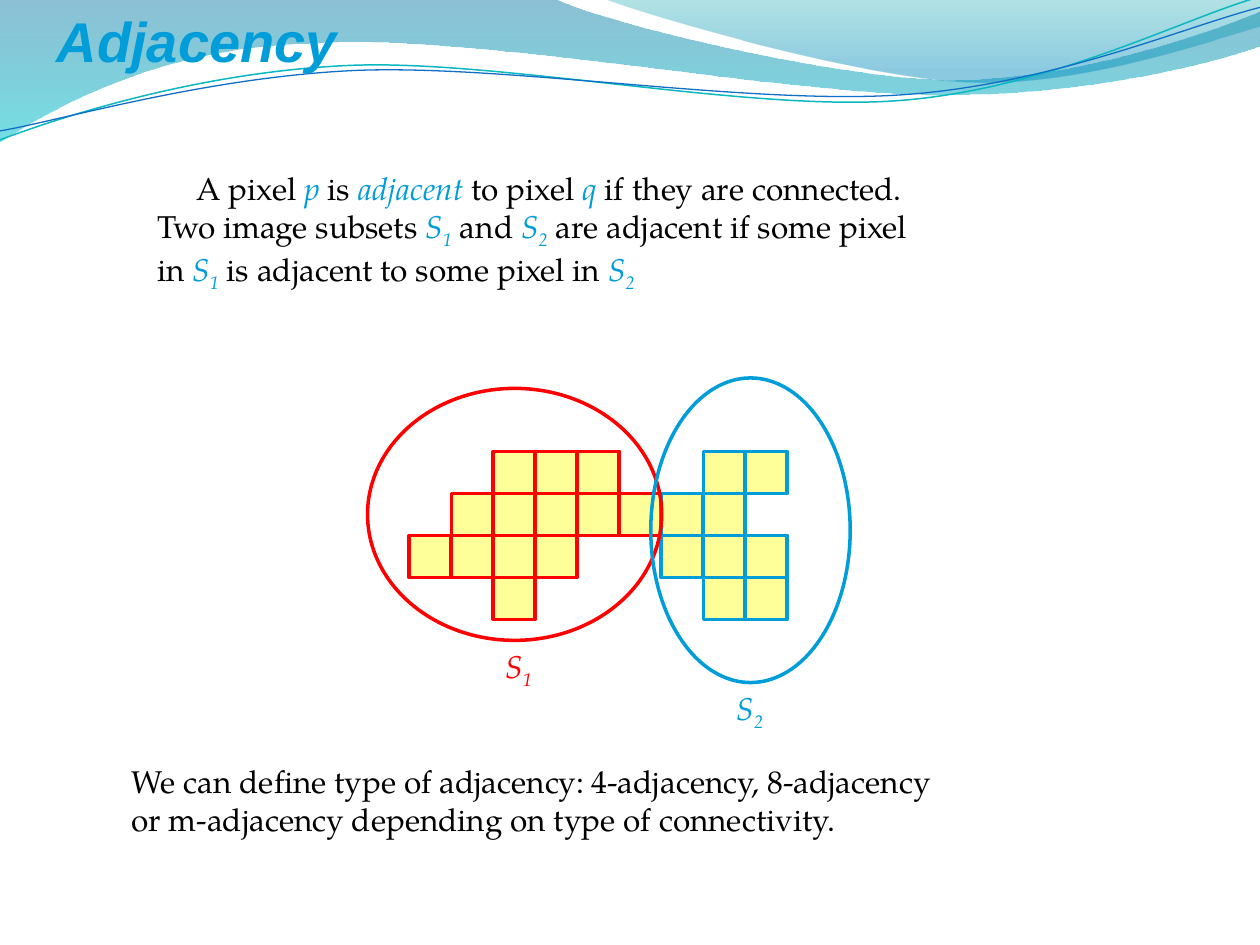
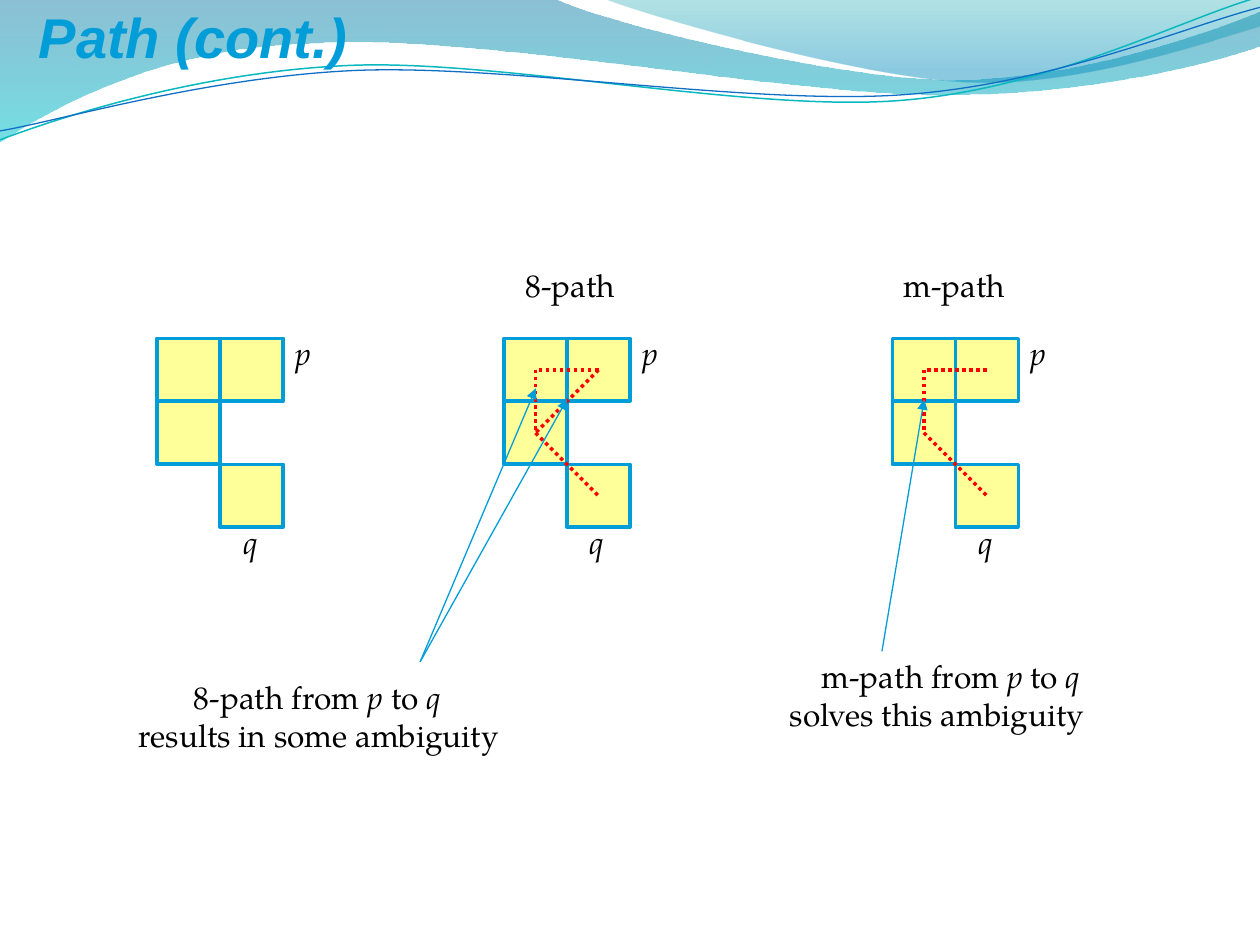
from lxml.etree import SubElement
from pptx import Presentation
from pptx.dml.color import RGBColor
from pptx.enum.dml import MSO_LINE
from pptx.enum.shapes import MSO_CONNECTOR, MSO_SHAPE
from pptx.enum.text import MSO_ANCHOR, MSO_AUTO_SIZE, PP_ALIGN
from pptx.oxml.ns import qn
from pptx.util import Cm, Pt

BLUE, RED, YELLOW, BLACK = "009DD9", "FF0000", "FFFF99", "000000"
TITLE_FONT, TEXT_FONT = "Arial", "TeX Gyre Pagella"

FILLED_WAVES = [
    ([(0, 0), (11.18, -0.03),
      (12.09, 0.43, 16.87, 1.6, 19.25, 1.6), (21.67, 1.6, 24.33, 0.66, 25.4, 0.23),
      (25.43, 0.91),
      (24.97, 1.12, 22.1, 1.93, 18.95, 1.91), (15.8, 1.91, 9.7, 0.71, 6.53, 0.86),
      (3.28, 0.91, 1.17, 2.11, -0.03, 2.87)],
     [(0, "0074A1", 45), (1, "00C6CF", 55)]),
    ([(12.17, -0.03),
      (12.93, 0.28, 17.32, 1.57, 19.53, 1.65), (21.74, 1.75, 24.41, 0.81, 25.4, 0.53),
      (25.4, 0)],
     [(0, "00A1A9", 30), (0.8, "008BBF", 45)]),
]
WAVE_LINES = [
    ([(0, 2.82), (1.22, 2.36, 4.01, 1.45, 7.04, 1.32),
      (10.03, 1.19, 15.06, 2.26, 18.11, 2.03), (21.16, 1.8, 23.83, 0.38, 25.35, -0.05)],
     "0AB8BF", 0.85),
    ([(0, 2.64), (1.19, 2.44, 4.17, 1.55, 7.19, 1.42),
      (10.24, 1.3, 15.16, 2.13, 18.21, 1.91), (21.23, 1.7, 23.9, 0.53, 25.4, 0.15)],
     "0F6FC6", 0.75),
]

SUBSETS = ["..111..22",
           ".1111122.",
           "1111..222",
           "..1....22"]
PIXELS = ["11",
          "1.",
          ".1"]
P, CORNER, MIDDLE, Q = (1, 0), (0, 0), (0, 1), (1, 2)
M_PATH = [(P, CORNER), (CORNER, MIDDLE), (MIDDLE, Q)]
EIGHT_PATH = M_PATH + [(P, MIDDLE)]


def rgb(value):
    """Turn a hex string into a colour."""
    return RGBColor.from_string(value)


def add_wave(slide, segments, close):
    """Add a freeform whose six-number segments are cubic curves."""
    start, *points = [(Cm(x), Cm(y)) for segment in segments
                      for x, y in zip(segment[::2], segment[1::2])]
    builder = slide.shapes.build_freeform(*start)
    builder.add_line_segments(points, close=close)
    wave = builder.convert_to_shape()
    wave.shadow.inherit = False
    outline = next(wave.element.iter(qn("a:path")))
    corners = iter(outline.findall(qn("a:lnTo")))
    for segment in segments[1:]:
        corner = next(corners)
        if len(segment) == 6:
            corner.tag
            curve = SubElement(outline, qn("a:cubicBezTo"))
            corner.addprevious(curve)
            for control in (corner, next(corners), next(corners)):
                curve.append(control[0])
                outline.remove(control)
    return wave


def decorate_layout(layout, slide):
    """Put the wave band on the layout shared by all slides."""
    waves = []
    for segments, stops in FILLED_WAVES:
        wave = add_wave(slide, segments, True)
        wave.line.fill.background()
        wave.fill.gradient()
        wave.fill.gradient_angle = 270
        for stop, (position, colour, _) in zip(wave.fill.gradient_stops, stops):
            stop.position = position
            stop.color.rgb = rgb(colour)
        colours = wave.element.spPr.find(qn("a:gradFill")).iter(qn("a:srgbClr"))
        for colour, (_, _, opacity) in zip(list(colours), stops):
            SubElement(colour, qn("a:alpha")).set("val", str(opacity * 1000))
        waves.append(wave)
    for segments, colour, width in WAVE_LINES:
        wave = add_wave(slide, segments, False)
        wave.fill.background()
        wave.line.color.rgb = rgb(colour)
        wave.line.width = Pt(width)
        waves.append(wave)
    for number, wave in enumerate(waves, 100):
        wave.element.nvSpPr.cNvPr.set("id", str(number))
        layout.shapes.element.append(wave.element)


def set_title(slide, text, left, top, width):
    """Fill, move and format the title placeholder."""
    title = slide.shapes.title
    title.left, title.top, title.width, title.height = Cm(left), Cm(top), Cm(width), Cm(1.63)
    frame = title.text_frame
    frame.text = text
    frame.word_wrap = False
    frame.auto_size = MSO_AUTO_SIZE.NONE
    frame.vertical_anchor = MSO_ANCHOR.TOP
    paragraph = frame.paragraphs[0]
    paragraph.alignment = PP_ALIGN.LEFT
    font = paragraph.runs[0].font
    font.name, font.size, font.bold, font.italic = TITLE_FONT, Pt(32), True, True
    font.color.rgb = rgb(BLUE)


def add_run(paragraph, text, colour, italic=False, subscript=False):
    """Add one formatted run to a paragraph."""
    run = paragraph.add_run()
    run.text = text
    run.font.name, run.font.size, run.font.italic = TEXT_FONT, Pt(18), italic
    run.font.color.rgb = rgb(colour)
    if subscript:
        run._r.get_or_add_rPr().set("baseline", "-25000")


def add_text(slide, lines, left, top, width, height=1.27, accent=BLACK, indent=0):
    """Add lines where *x_1* marks an italic symbol with a subscript."""
    frame = slide.shapes.add_textbox(Cm(left), Cm(top), Cm(width), Cm(height)).text_frame
    frame.word_wrap = True
    for number, line in enumerate(lines):
        paragraph = frame.add_paragraph() if number else frame.paragraphs[0]
        if indent and not number:
            paragraph._p.get_or_add_pPr().set("indent", str(Cm(indent)))
        for position, part in enumerate(line.split("*")):
            if position % 2 == 0:
                if part:
                    add_run(paragraph, part, BLACK)
                continue
            symbol, _, index = part.partition("_")
            add_run(paragraph, symbol, accent, italic=True)
            if index:
                add_run(paragraph, index, accent, italic=True, subscript=True)


def add_outlined(slide, kind, left, top, width, height, outline, fill=None):
    """Add a preset shape with a coloured outline."""
    shape = slide.shapes.add_shape(kind, Cm(left), Cm(top), Cm(width), Cm(height))
    shape.shadow.inherit = False
    shape.line.color.rgb = rgb(outline)
    shape.line.width = Pt(2)
    if fill:
        shape.fill.solid()
        shape.fill.fore_color.rgb = rgb(fill)
    else:
        shape.fill.background()


def add_pixels(slide, pattern, mark, left, top, size, outline):
    """Draw a square for each place in the pattern that holds the mark."""
    for row, line in enumerate(pattern):
        for column, place in enumerate(line):
            if place == mark:
                add_outlined(slide, MSO_SHAPE.RECTANGLE, left + column * size,
                             top + row * size, size, size, outline, YELLOW)


def add_link(slide, start, end, colour, width, dash=None, arrow=False):
    """Draw a straight line, dotted or with an arrowhead if asked."""
    link = slide.shapes.add_connector(
        MSO_CONNECTOR.STRAIGHT, *(Cm(value) for value in (*start, *end)))
    link.line.color.rgb = rgb(colour)
    link.line.width = Pt(width)
    if dash:
        link.line.dash_style = dash
    properties = link.element.spPr
    if arrow:
        SubElement(properties.find(qn("a:ln")), qn("a:tailEnd")).set("type", "triangle")
    SubElement(properties, qn("a:effectLst"))


def draw_subsets(slide, left, top):
    """Draw the two adjacent image subsets with their ellipses and labels."""
    for mark, colour in (("1", RED), ("2", BLUE)):
        add_pixels(slide, SUBSETS, mark, left + 0.84, top + 1.48, 2.54 / 3, colour)
    add_outlined(slide, MSO_SHAPE.OVAL, left, top + 0.21, 5.93, 5.08, RED)
    add_outlined(slide, MSO_SHAPE.OVAL, left + 5.71, top, 4.02, 6.14, BLUE)
    add_text(slide, ["*S_1*"], left + 2.53, top + 5.3, 1.22, accent=RED)
    add_text(slide, ["*S_2*"], left + 7.19, top + 6.15, 1.22, accent=BLUE)


def draw_pixel_path(slide, left, top, heading=None, shift=0, path_steps=()):
    """Draw the pixels from p to q, with a heading and a dotted path if given."""
    size = 1.27
    add_pixels(slide, PIXELS, "1", left, top, size, BLUE)
    add_text(slide, ["*p*"], left + 2 * size, top - 0.21, 0.94)
    add_text(slide, ["*q*"], left + 1.48, top + 3.6, 0.94)
    if heading:
        add_text(slide, [heading], left + shift, top - 1.59, 2.8)
    for step in path_steps:
        start, end = (
            (left + (column + 0.5) * size, top + (row + 0.5) * size) for column, row in step)
        add_link(slide, start, end, RED, 2, dash=MSO_LINE.ROUND_DOT)


def point_out(slide, left, top, targets, start):
    """Draw arrows from one start to targets, all relative to a pixel group."""
    for x, y in targets:
        add_link(slide, (left + start[0], top + start[1]), (left + x, top + y),
                 BLUE, 0.75, arrow=True)


def build_adjacency(slide):
    """Build the slide that defines adjacency."""
    set_title(slide, "Adjacency", 0.89, 0, 6.2)
    add_text(slide, ["A pixel *p* is *adjacent* to pixel *q* if they are connected.",
                     "Two image subsets *S_1* and *S_2* are adjacent if some pixel",
                     "in *S_1* is adjacent to some pixel in *S_2*"],
             2.92, 3.28, 19.6, 3.33, accent=BLUE, indent=0.79)
    draw_subsets(slide, 7.41, 7.62)
    add_text(slide, ["We can define type of adjacency: 4-adjacency, 8-adjacency",
                     "or m-adjacency depending on type of connectivity."],
             2.4, 15.24, 20.6, 2.29)


def build_path(slide):
    """Build the slide that compares an 8-path with an m-path."""
    top, eight_left, m_left = 6.82, 10.16, 17.99
    set_title(slide, "Path (cont.)", 0.53, -0.08, 6.76)
    draw_pixel_path(slide, 3.17, top)
    draw_pixel_path(slide, eight_left, top, "8-path", 0.18, EIGHT_PATH)
    draw_pixel_path(slide, m_left, top, "m-path", -0.03, M_PATH)
    add_text(slide, ["8-path from *p* to *q*", "results in some ambiguity"],
             eight_left - 7.62, top + 6.72, 9.22, 2.29, indent=1.12)
    add_text(slide, ["m-path from *p* to *q*", "solves this ambiguity"],
             m_left - 2.32, top + 6.31, 7.75, 2.29, indent=0.64)
    point_out(slide, eight_left, top, [(1.27, 1.23), (0.64, 1.01)], (-1.69, 6.52))
    point_out(slide, m_left, top, [(0.64, 1.23)], (-0.21, 6.31))


def main():
    """Build and save the presentation."""
    presentation = Presentation()
    presentation.slide_width, presentation.slide_height = Cm(25.4), Cm(19.05)
    layout = presentation.slide_layouts[5]
    adjacency = presentation.slides.add_slide(layout)
    decorate_layout(layout, adjacency)
    build_adjacency(adjacency)
    build_path(presentation.slides.add_slide(layout))
    presentation.save("out.pptx")


if __name__ == "__main__":
    main()
